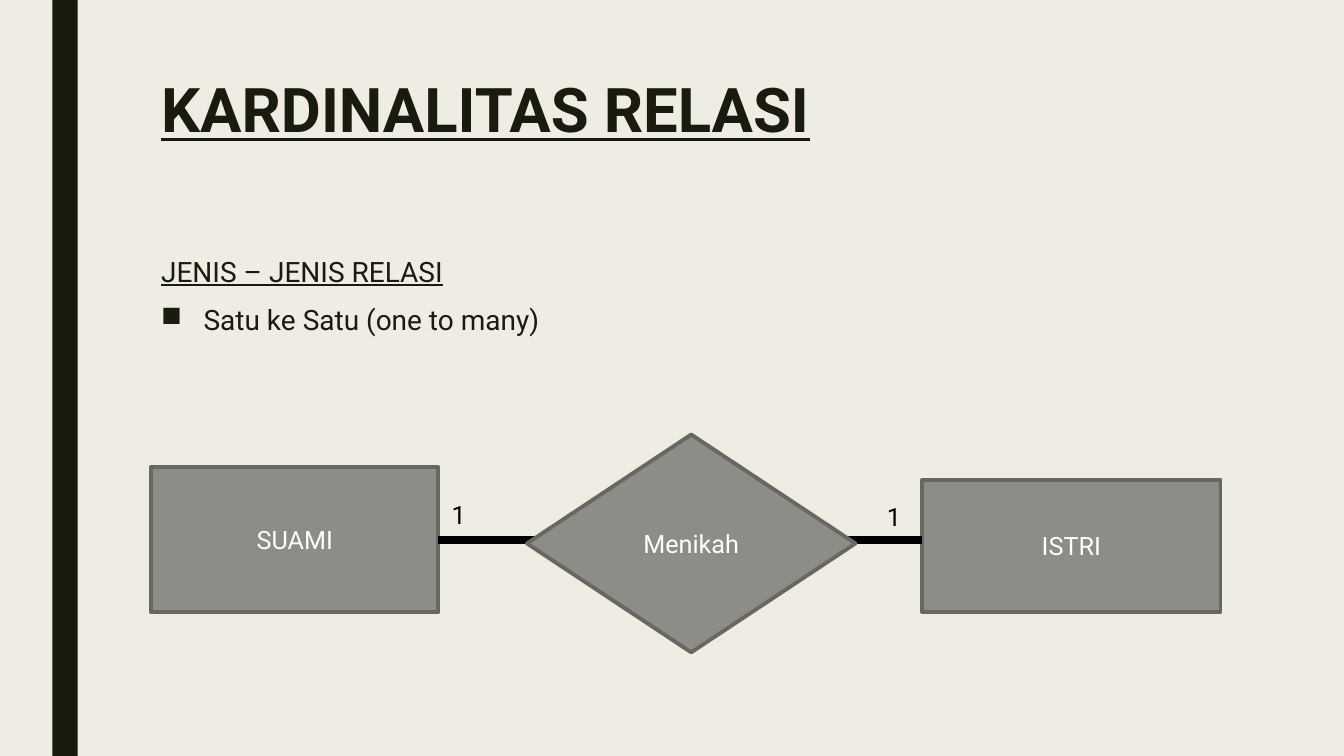
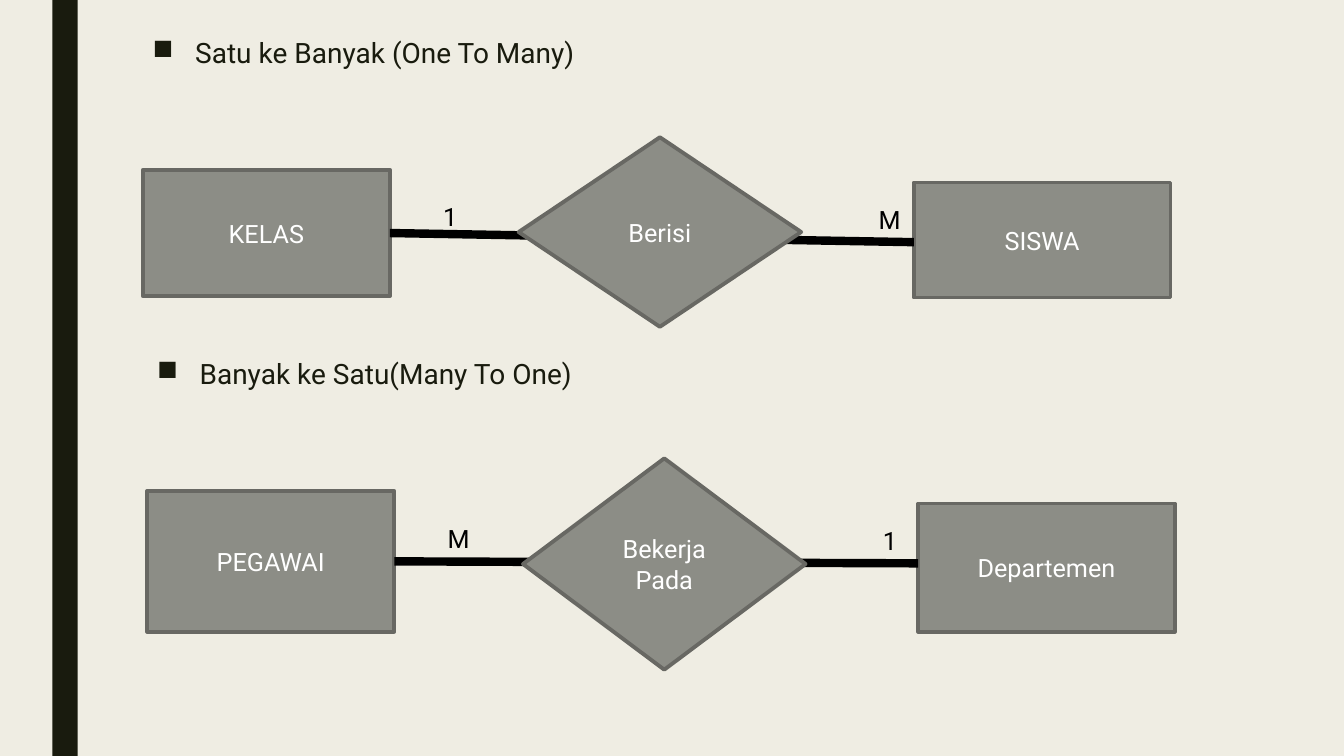
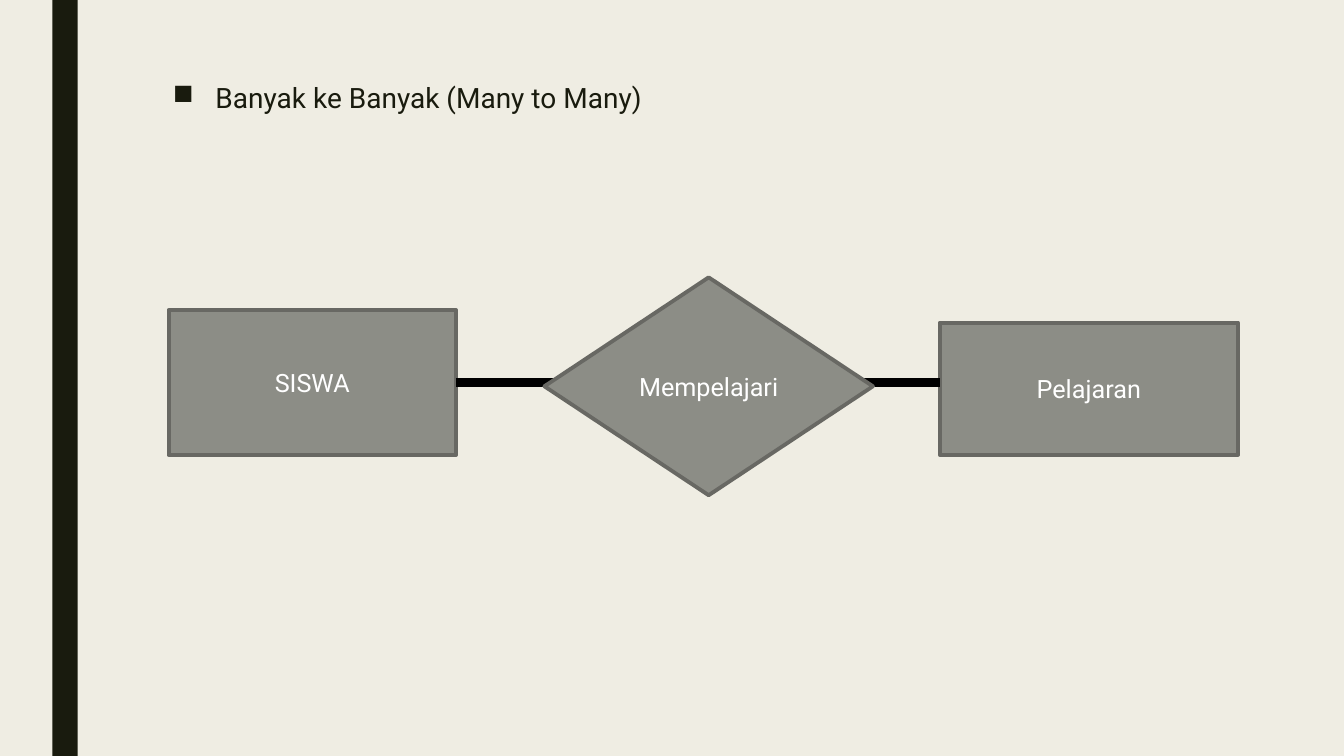
import lxml.etree
import pptx
import pptx.dml.color
import pptx.enum.shapes
import pptx.enum.text
import pptx.oxml.ns
import pptx.util

Cm = pptx.util.Cm
Pt = pptx.util.Pt
SHAPES = pptx.enum.shapes.MSO_SHAPE
ANCHOR = pptx.enum.text.MSO_ANCHOR
ALIGN = pptx.enum.text.PP_ALIGN
AUTO_SIZE = pptx.enum.text.MSO_AUTO_SIZE

COLOURS = {
    "paper": "EFEDE3",
    "ink": "191B0E",
    "node": "8C8D86",
    "edge": "686863",
    "node text": "FFFFFF",
    "link": "000000",
}

# Font and paragraph formats by role
FONTS = {
    "title": {"size": Pt(44), "bold": True, "underline": True},
    "heading": {"size": Pt(20), "underline": True},
    "bullet": {"size": Pt(20)},
    "node": {"size": Pt(18)},
    "cardinality": {"size": Pt(18)},
}
BODY_SPACING = {"line_spacing": 0.94, "space_after": Pt(2)}
PARAGRAPHS = {
    "title": {"line_spacing": 0.89},
    "heading": BODY_SPACING,
    "bullet": BODY_SPACING,
    "node": {"alignment": ALIGN.CENTER},
    "cardinality": {},
}
TEXT_COLOURS = {"node": "node text", "cardinality": "link"}

# Relation diagram in cm: offsets from its corner, sizes at full scale
FIRST_ENTITY = (0, 0.82, 7.24, 3.66)
SECOND_ENTITY = (19.43, 1.14, 7.52, 3.33)
RELATION = (9.47, 0, 8.28, 5.49)
CARDINALITY_SPOTS = ((7.32, 1.5), (18.29, 1.57))


def rgb(name):
    return pptx.dml.color.RGBColor.from_string(COLOURS[name])


def set_all(target, values):
    for attribute, value in values.items():
        setattr(target, attribute, value)


def write(paragraph, text, role):
    if role == "bullet":
        properties = paragraph._p.get_or_add_pPr()
        properties.set("marL", str(Cm(1.07)))
        properties.set("indent", str(-Cm(1.07)))
        mark = lxml.etree.SubElement(properties, pptx.oxml.ns.qn("a:buChar"))
        mark.set("char", "■")
    set_all(paragraph, PARAGRAPHS[role])
    run = paragraph.add_run()
    run.text = text
    set_all(run.font, {"name": "Roboto", **FONTS[role]})
    run.font.color.rgb = rgb(TEXT_COLOURS.get(role, "ink"))


def add_text(slide, box, lines):
    """Place a text box holding (text, role) lines."""
    area = slide.shapes.add_textbox(*map(Cm, box))
    frame = area.text_frame
    frame.word_wrap = True
    for index, (text, role) in enumerate(lines):
        paragraph = frame.add_paragraph() if index else frame.paragraphs[0]
        if index:
            paragraph.space_before = Pt(10)
        write(paragraph, text, role)
    return frame


def add_filled(slide, kind, box, colour):
    shape = slide.shapes.add_shape(kind, *map(Cm, box))
    shape.shadow.inherit = False
    shape.fill.solid()
    shape.fill.fore_color.rgb = rgb(colour)
    shape.line.fill.background()
    return shape


def add_node(slide, kind, box, label):
    node = add_filled(slide, kind, box, "node")
    node.line.color.rgb = rgb("edge")
    node.line.width = Pt(2.75)
    set_all(node.text_frame, {"word_wrap": True, "vertical_anchor": ANCHOR.MIDDLE})
    write(node.text_frame.paragraphs[0], label, "node")
    return node


def add_diagram(slide, corner, names, cardinalities=(), scale=(1, 1), drop=0):
    """Draw entity, relation, entity; the link falls by drop to its far end."""
    left, top = corner

    def placed(part):
        x, y, width, height = part
        return left + x, top + y, width * scale[0], height * scale[1]

    first_name, relation_name, second_name = names
    first = add_node(slide, SHAPES.RECTANGLE, placed(FIRST_ENTITY), first_name)
    second = add_node(slide, SHAPES.RECTANGLE, placed(SECOND_ENTITY), second_name)

    # Link, passing behind the relation
    middle = first.top + first.height // 2
    link = slide.shapes.add_connector(
        pptx.enum.shapes.MSO_CONNECTOR.STRAIGHT,
        first.left + first.width, middle, second.left, middle + Cm(drop))
    link.begin_connect(first, 3)
    link.line.color.rgb = rgb("link")
    link.line.width = Pt(6)
    lxml.etree.SubElement(link._element.spPr, pptx.oxml.ns.qn("a:effectLst"))

    add_node(slide, SHAPES.FLOWCHART_DECISION, placed(RELATION), relation_name)

    # Cardinalities above the link
    for (x, y), cardinality in zip(CARDINALITY_SPOTS, cardinalities):
        frame = add_text(slide, (left + x, top + y, 0.89, 1.02),
                         [(cardinality, "cardinality")])
        frame.auto_size = AUTO_SIZE.SHAPE_TO_FIT_TEXT


def new_slide(deck):
    """Add a slide with the shared background and side band."""
    slide = deck.slides.add_slide(deck.slide_layouts[6])
    slide.background.fill.solid()
    slide.background.fill.fore_color.rgb = rgb("paper")
    add_filled(slide, SHAPES.RECTANGLE, (1.32, 0, 0.64, 19.05), "ink")
    return slide


def add_one_to_one(deck):
    slide = new_slide(deck)
    add_text(slide, (3.81, 1.9, 26.67, 4.11), [("KARDINALITAS RELASI", "title")])
    add_text(slide, (3.81, 6.35, 26.67, 9.96), [
        ("JENIS – JENIS RELASI", "heading"),
        ("Satu ke Satu (one to many)", "bullet"),
    ])
    add_diagram(slide, (3.81, 10.95), ("SUAMI", "Menikah", "ISTRI"), "11")


def add_one_to_many(deck):
    slide = new_slide(deck)
    add_text(slide, (3.6, 0.84, 22.91, 8.69),
             [("Satu ke Banyak (One To Many)", "bullet")])
    add_diagram(slide, (3.6, 3.46), ("KELAS", "Berisi", "SISWA"), "1M",
                scale=(0.86, 0.87), drop=0.23)
    add_text(slide, (3.71, 8.92, 22.91, 9.63),
             [("Banyak ke Satu(Many To One)", "bullet")])
    add_diagram(slide, (3.71, 11.55), ("PEGAWAI", "Bekerja Pada", "Departemen"),
                "M1", scale=(0.86, 0.97), drop=0.05)


def add_many_to_many(deck):
    slide = new_slide(deck)
    add_text(slide, (4.11, 1.98, 26.67, 9.96),
             [("Banyak ke Banyak (Many to Many)", "bullet")])
    add_diagram(slide, (4.25, 6.99), ("SISWA", "Mempelajari", "Pelajaran"))


def main():
    deck = pptx.Presentation()
    deck.slide_width = Cm(33.87)
    deck.slide_height = Cm(19.05)
    for add_page in (add_one_to_one, add_one_to_many, add_many_to_many):
        add_page(deck)
    deck.save("out.pptx")


if __name__ == "__main__":
    main()
